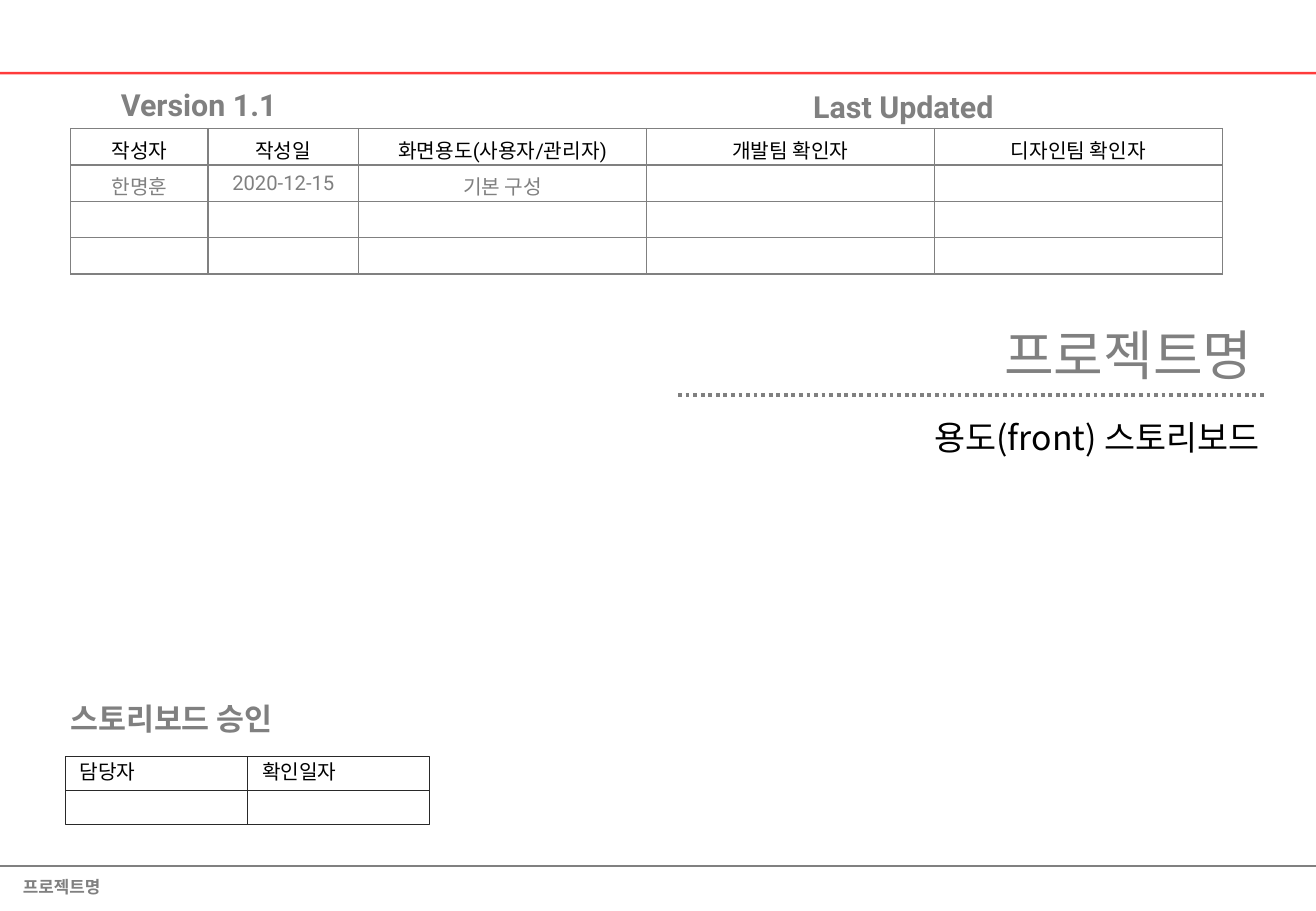
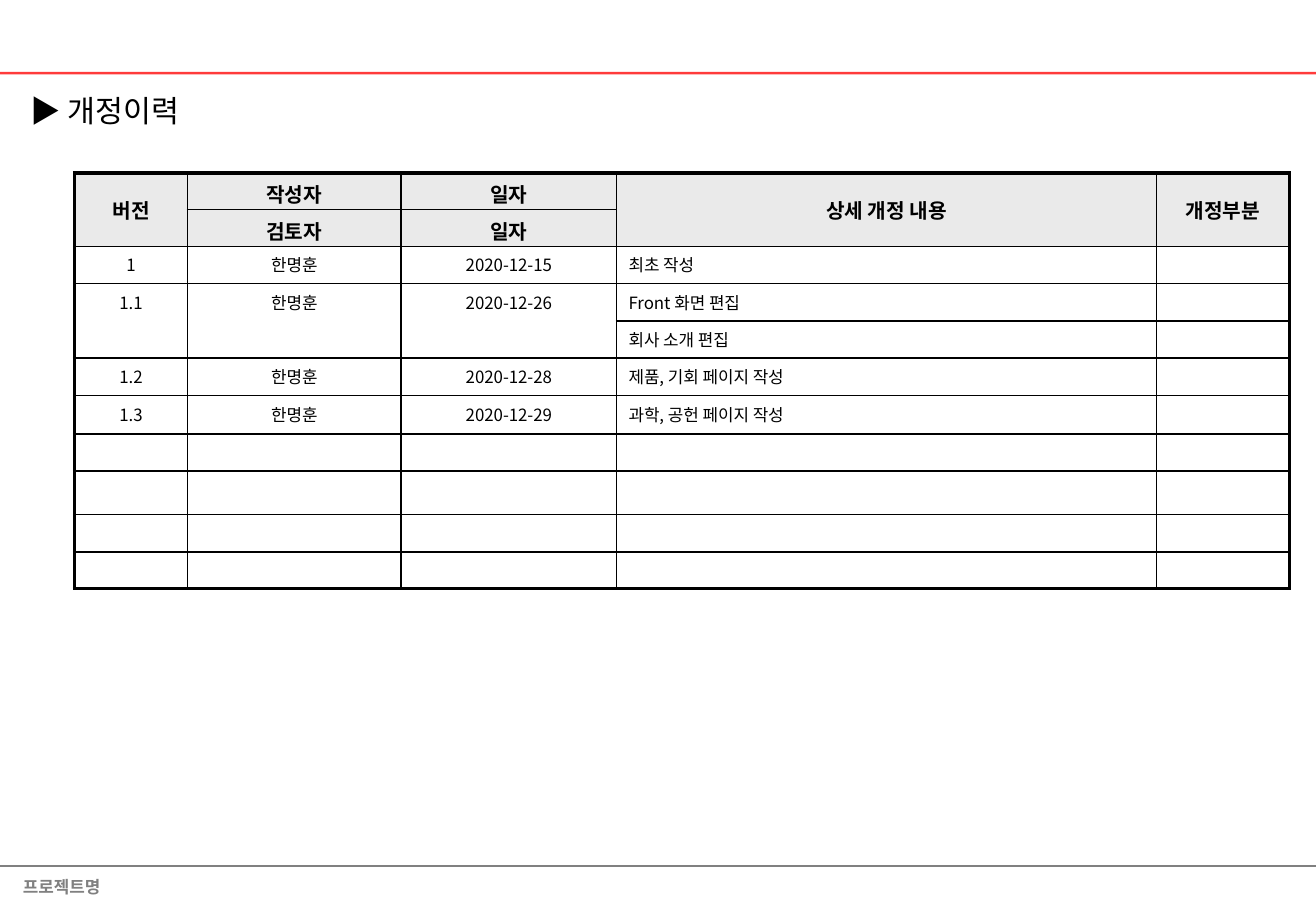
from lxml.etree import SubElement
from pptx import Presentation
from pptx.dml.color import RGBColor
from pptx.enum.dml import MSO_LINE_DASH_STYLE as Dash
from pptx.enum.shapes import MSO_CONNECTOR as Connector, MSO_SHAPE as Shape
from pptx.enum.text import MSO_ANCHOR as Anchor, PP_ALIGN as Align
from pptx.oxml.ns import qn
from pptx.util import Cm, Pt

COLORS = {"red": "FF0000", "gray": "808080", "black": "000000", "ink": "292929", "head": "EAEAEA"}
KOREAN, LATIN = "Noto Sans CJK KR", "Roboto"
PAGE_WIDTH, PAGE_HEIGHT = 27.52, 19.05
CELL_INSET = 0.13
PROJECT = "프로젝트명"


def rgb(name):
    """Return the named colour."""
    return RGBColor.from_string(COLORS[name])


def style(paragraph, size, color="black", bold=False, face=KOREAN, align=Align.LEFT):
    """Set the font and alignment of a paragraph, with Korean glyphs in the Korean face."""
    paragraph.alignment = align
    font = paragraph.font
    font.size, font.bold, font.name = Pt(size), bold, face
    font.color.rgb = rgb(color)
    SubElement(paragraph._p.pPr.find(qn("a:defRPr")), qn("a:ea"), typeface=KOREAN)


def add_text(slide, text, box, size, anchor=Anchor.TOP, spacing=None, wrap=True, **look):
    """Place one line of text in a box of left, top, width and height."""
    frame = slide.shapes.add_textbox(*map(Cm, box)).text_frame
    frame.word_wrap, frame.vertical_anchor = wrap, anchor
    paragraph = frame.paragraphs[0]
    paragraph.text = text
    paragraph.line_spacing = spacing
    style(paragraph, size, **look)


def add_rule(slide, left, right, y, color, width, dash=None, alpha=None):
    """Draw a horizontal line without a shadow."""
    rule = slide.shapes.add_connector(Connector.STRAIGHT, Cm(left), Cm(y), Cm(right), Cm(y))
    rule.line.color.rgb, rule.line.width = rgb(color), Pt(width)
    if dash:
        rule.line.dash_style = dash
    if alpha:
        tint = next(rule.line._ln.iter(qn("a:srgbClr")))
        SubElement(tint, qn("a:alpha"), val=str(alpha * 1000))
    SubElement(rule._element.spPr, qn("a:effectLst"))


def set_borders(cell, color, widths):
    """Draw the left, right, top and bottom borders of a cell."""
    for side, width in zip("LRTB", widths):
        border = SubElement(cell._tc.get_or_add_tcPr(), qn(f"a:ln{side}"), w=str(Pt(width)))
        fill = SubElement(border, qn("a:solidFill"))
        SubElement(fill, qn("a:srgbClr"), val=COLORS[color])


def add_grid(slide, left, top, columns, rows, color, inner=1, outer=1):
    """Add an unfilled table with inner and outer border widths."""
    box = map(Cm, (left, top, sum(columns), sum(rows)))
    grid = slide.shapes.add_table(len(rows), len(columns), *box).table
    grid.first_row = grid.horz_banding = False
    for column, width in zip(grid.columns, columns):
        column.width = Cm(width)
    for row, height in zip(grid.rows, rows):
        row.height = Cm(height)
    last_row, last_column = len(rows) - 1, len(columns) - 1
    for r in range(len(rows)):
        for c in range(len(columns)):
            cell = grid.cell(r, c)
            edges = (c == 0, c == last_column, r == 0, r == last_row)
            set_borders(cell, color, [outer if edge else inner for edge in edges])
            cell.fill.background()
            cell.margin_top, cell.margin_bottom = Cm(CELL_INSET), 0
            style(cell.text_frame.paragraphs[0], 10)
    return grid


def write_cell(cell, text, size, **look):
    """Write and style the text of a cell."""
    paragraph = cell.text_frame.paragraphs[0]
    paragraph.text = text
    paragraph._p.pPr.clear()
    style(paragraph, size, **look)


def add_frame(slide):
    """Add the header line and the footer that all slides share."""
    add_rule(slide, 0, PAGE_WIDTH, 1.53, "red", 1.5, alpha=76)
    add_rule(slide, 0, PAGE_WIDTH, 18.11, "gray", 0.75)
    add_text(slide, PROJECT, (0.23, 18.21, 2.26, 0.69), 10, wrap=False, color="gray", bold=True)


def add_version_block(slide, left, top):
    """Add the version, the update label and the table of people in charge."""
    label = dict(color="gray", bold=True, face=LATIN)
    add_text(slide, "Version 1.1", (left + 0.8, top, 4.6, 1.02), 18, **label)
    add_text(slide, "Last Updated", (left + 14.67, top + 0.04, 4.88, 1.02), 18, align=Align.RIGHT, **label)
    people = add_grid(slide, left, top + 1.01, [2.87, 3.15] + [6.02] * 3, [0.76] * 4, "gray")
    entries = [
        ("black", ["작성자", "작성일", "화면용도(사용자/관리자)", "개발팀 확인자", "디자인팀 확인자"]),
        ("gray", ["한명훈", "2020-12-15", "기본 구성"]),
    ]
    for r, (color, texts) in enumerate(entries):
        for c, text in enumerate(texts):
            write_cell(people.cell(r, c), text, 12, color=color, face=LATIN, align=Align.CENTER)


def add_project_title(slide, left, top, width):
    """Add the project name, a dotted line and the subtitle, aligned right."""
    right = left + width
    add_text(slide, PROJECT, (left, top, width, 1.8), 32, anchor=Anchor.MIDDLE, color="gray", align=Align.RIGHT)
    add_rule(slide, right - 12.27, right, top + 1.76, "gray", 2.25, dash=Dash.ROUND_DOT)
    add_text(slide, "용도(front) 스토리보드", (left, top + 1.83, width + 0.15, 2.21), 20, spacing=1.3, align=Align.RIGHT)


def add_approval(slide, left, top):
    """Add the approval heading and its two labelled columns of boxes."""
    add_text(slide, "스토리보드 승인", (left - 0.15, top, 5.38, 1.02), 18, color="gray", bold=True, face=LATIN)
    width, height, first_row = 3.81, 0.71, top + 1.3
    for c, (label, label_width) in enumerate([("담당자", 1.78), ("확인일자", 2.18)]):
        x = left + c * width
        for r in range(2):
            box = map(Cm, (x, first_row + r * height, width, height))
            field = slide.shapes.add_shape(Shape.RECTANGLE, *box)
            field.shadow.inherit = False
            field.fill.background()
            field.line.color.rgb, field.line.width = rgb("ink"), Pt(0.75)
        add_text(slide, label, (x + 0.05, first_row - 0.07, label_width, 0.76), 12, wrap=False)


def add_history(slide, left, top):
    """Add the revision history table."""
    columns = [2.36, 4.47, 4.5, 11.3, 2.77]
    rows = [0.76] * 2 + [0.78] * 4 + [0.81, 0.77, 0.91, 0.78, 0.76]
    history = add_grid(slide, left, top, columns, rows, "black", outer=2.25)
    headings = [
        ["버전", "작성자", "일자", "상세 개정 내용", "개정부분"],
        ["", "검토자", "일자", "", ""],
    ]
    for r, texts in enumerate(headings):
        for c, text in enumerate(texts):
            cell = history.cell(r, c)
            cell.fill.solid()
            cell.fill.fore_color.rgb = rgb("head")
            if text:
                write_cell(cell, text, 12, bold=True, align=Align.CENTER)
    revisions = [
        ["1", "한명훈", "2020-12-15", "최초 작성"],
        ["1.1", "한명훈", "2020-12-26", "Front 화면 편집"],
        ["", "", "", "회사 소개 편집"],
        ["1.2", "한명훈", "2020-12-28", "제품, 기회 페이지 작성"],
        ["1.3", "한명훈", "2020-12-29", "과학, 공헌 페이지 작성"],
    ]
    for r, texts in enumerate(revisions, len(headings)):
        for c, text in enumerate(texts):
            if text:
                write_cell(history.cell(r, c), text, 10, align=Align.LEFT if c == 3 else Align.CENTER)
    for r, merged in ((0, (0, 3, 4)), (3, (0, 1, 2))):
        for c in merged:
            cell = history.cell(r, c)
            cell.merge(history.cell(r + 1, c))
            cell.margin_bottom = Cm(CELL_INSET)
            if r == 0:
                cell.vertical_anchor = Anchor.MIDDLE


def build_cover(slide):
    """Lay out the cover slide."""
    add_frame(slide)
    add_version_block(slide, 1.48, 1.68)
    add_project_title(slide, 10.75, 6.5, 15.7)
    add_approval(slide, 1.37, 14.52)


def build_revisions(slide):
    """Lay out the revision history slide."""
    add_frame(slide)
    add_text(slide, "▶ 개정이력", (0.38, 1.73, 9.02, 1.17), 18, anchor=Anchor.MIDDLE)
    add_history(slide, 1.56, 3.62)


def main():
    """Build and save the presentation."""
    deck = Presentation()
    deck.slide_width, deck.slide_height = Cm(PAGE_WIDTH), Cm(PAGE_HEIGHT)
    for build in (build_cover, build_revisions):
        build(deck.slides.add_slide(deck.slide_layouts[6]))
    deck.save("out.pptx")


if __name__ == "__main__":
    main()
